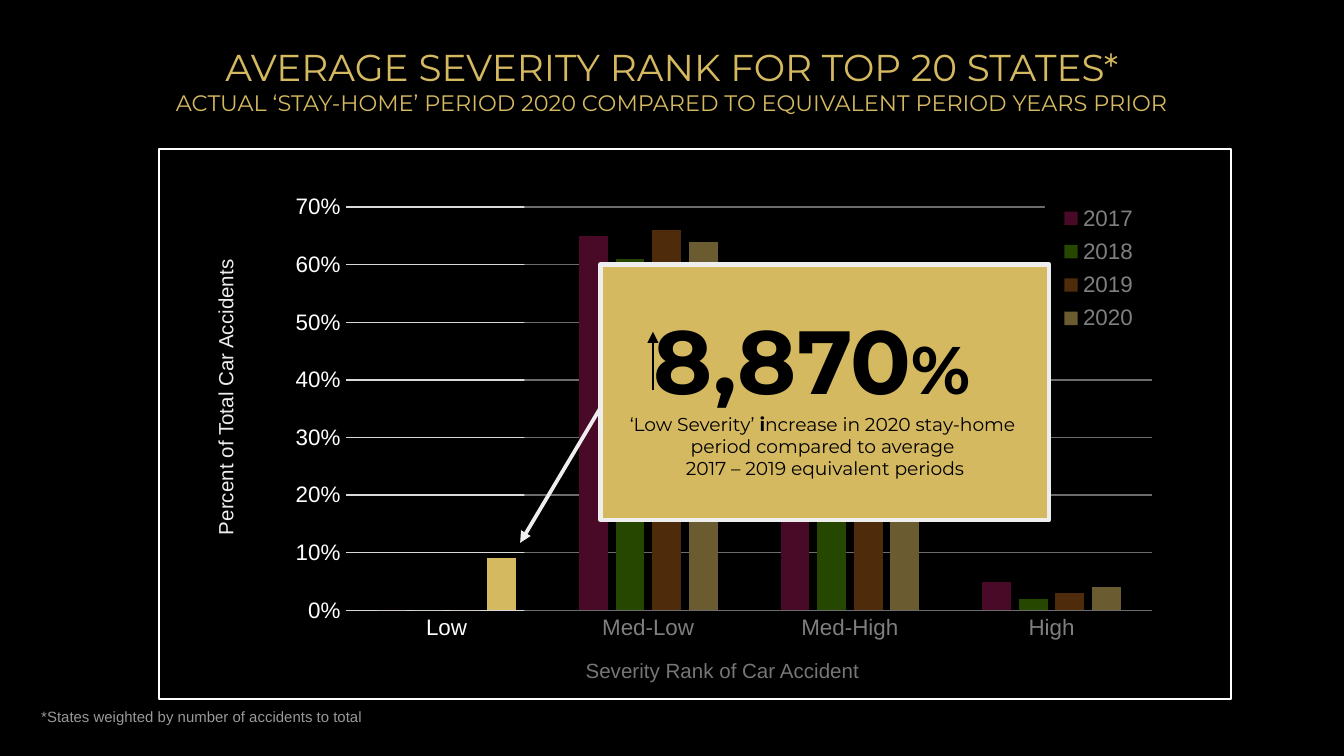
from dataclasses import dataclass

from lxml import etree
from pptx import Presentation
from pptx.chart.data import CategoryChartData
from pptx.dml.color import RGBColor
from pptx.enum.chart import XL_CHART_TYPE, XL_LEGEND_POSITION, XL_TICK_MARK
from pptx.enum.shapes import MSO_CONNECTOR, MSO_SHAPE
from pptx.enum.text import MSO_ANCHOR, PP_ALIGN
from pptx.oxml import parse_xml
from pptx.oxml.ns import nsdecls, qn
from pptx.util import Cm, Pt

CENTER, LEFT = PP_ALIGN.CENTER, PP_ALIGN.LEFT
BOTTOM, MIDDLE = MSO_ANCHOR.BOTTOM, MSO_ANCHOR.MIDDLE
RECTANGLE = MSO_SHAPE.RECTANGLE
STRAIGHT = MSO_CONNECTOR.STRAIGHT
COLUMNS = XL_CHART_TYPE.COLUMN_CLUSTERED
LEGEND_RIGHT = XL_LEGEND_POSITION.RIGHT
NO_TICK = XL_TICK_MARK.NONE


@dataclass(frozen=True)
class Theme:
    black: RGBColor = RGBColor.from_string("000000")
    white: RGBColor = RGBColor.from_string("FFFFFF")
    pale: RGBColor = RGBColor.from_string("EEEEEE")
    grid: RGBColor = RGBColor.from_string("D9D9D9")
    gray: RGBColor = RGBColor.from_string("999999")
    gold: RGBColor = RGBColor.from_string("D5B961")
    wine: RGBColor = RGBColor.from_string("941651")
    green: RGBColor = RGBColor.from_string("4E8F00")
    brown: RGBColor = RGBColor.from_string("9D5816")
    heading: str = "Montserrat"
    body: str = "Arial"
    title: int = 20
    subtitle: int = 12
    chart: int = 12
    axis_title: int = 11
    footnote: int = 8
    figure: int = 48
    percent: int = 36
    caption: int = 10


theme = Theme()


def add_run(paragraph, text, size, color, font_name, bold=False):
    run = paragraph.add_run()
    run.text = text
    run.font.size = Pt(size)
    run.font.color.rgb = color
    run.font.name = font_name
    run.font.bold = bold


def manual_layout(x, y, width, height, inner=False):
    target = '<c:layoutTarget val="inner"/>' if inner else ""
    return parse_xml(
        f'<c:layout {nsdecls("c")}><c:manualLayout>{target}'
        '<c:xMode val="edge"/><c:yMode val="edge"/>'
        f'<c:x val="{x}"/><c:y val="{y}"/><c:w val="{width}"/><c:h val="{height}"/>'
        "</c:manualLayout></c:layout>")


presentation = Presentation()
presentation.slide_width = Cm(25.4)
presentation.slide_height = Cm(14.29)
slide = presentation.slides.add_slide(presentation.slide_layouts[6])
slide.background.fill.solid()
slide.background.fill.fore_color.rgb = theme.black

# Title and subtitle
title_box = slide.shapes.add_textbox(Cm(1.27), Cm(1.02), Cm(22.86), Cm(1.42))
title_frame = title_box.text_frame
title_frame.word_wrap = True
title_frame.vertical_anchor = BOTTOM
title_frame.margin_top = title_frame.margin_bottom = Cm(0.25)
paragraph = title_frame.paragraphs[0]
paragraph.alignment = CENTER
add_run(paragraph, "AVERAGE SEVERITY RANK FOR TOP 20 STATES*",
        theme.title, theme.gold, theme.heading)
paragraph.add_line_break()
add_run(paragraph, "ACTUAL ‘STAY-HOME’ PERIOD 2020 COMPARED TO EQUIVALENT PERIOD YEARS PRIOR",
        theme.subtitle, theme.gold, theme.heading)

# Column chart
series_table = [
    ("2017", (0, 0.65, 0.26, 0.05), theme.wine),
    ("2018", (0, 0.61, 0.33, 0.02), theme.green),
    ("2019", (0, 0.66, 0.27, 0.03), theme.brown),
    ("2020", (0.09, 0.64, 0.2, 0.04), theme.gold),
]
chart_data = CategoryChartData(number_format="0%")
chart_data.categories = ["Low", "Med-Low", "Med-High", "High"]
for name, values, color in series_table:
    chart_data.add_series(name, values)
chart = slide.shapes.add_chart(
    COLUMNS, Cm(5.18), Cm(3.53), Cm(16.94), Cm(9.65), chart_data).chart
chart.has_title = False
chart.font.name = theme.body
chart.font.size = Pt(theme.chart)
chart.font.color.rgb = theme.white

plot = chart.plots[0]
plot.gap_width = 219
plot.overlap = -27
plot.vary_by_categories = False
for series, (name, values, color) in zip(plot.series, series_table):
    series.invert_if_negative = False
    series.format.fill.solid()
    series.format.fill.fore_color.rgb = color

# Chart axes
category_axis, value_axis = chart.category_axis, chart.value_axis
for axis in (category_axis, value_axis):
    axis.major_tick_mark = axis.minor_tick_mark = NO_TICK
value_axis.minimum_scale = 0
value_axis.maximum_scale = 0.7
value_axis.major_unit = 0.1
value_axis.has_major_gridlines = True
value_axis.tick_labels.number_format = "0%"
value_axis.tick_labels.number_format_is_linked = False
value_axis.format.line.fill.background()
for line in (category_axis.format.line, value_axis.major_gridlines.format.line):
    line.color.rgb = theme.grid
    line.width = Pt(0.75)

# Legend over the plot, on black, narrow enough for a single column
chart.has_legend = True
legend = chart.legend
legend.position = LEGEND_RIGHT
legend.include_in_layout = True
legend.font.name = theme.body
legend.font.size = Pt(theme.chart)
legend.font.color.rgb = theme.white
legend_xml = legend._element
for old_layout in legend_xml.findall(qn("c:layout")):
    legend_xml.remove(old_layout)
legend_xml.find(qn("c:legendPos")).addnext(manual_layout(0.86, 0.02, 0.12, 0.28))
legend_xml.find(qn("c:overlay")).addnext(parse_xml(
    f'<c:spPr {nsdecls("c", "a")}><a:solidFill><a:srgbClr val="{theme.black}"/>'
    "</a:solidFill><a:ln><a:noFill/></a:ln></c:spPr>"))

plot_area = chart._chartSpace.chart.plotArea
for old_layout in plot_area.findall(qn("c:layout")):
    plot_area.remove(old_layout)
plot_area.insert(0, manual_layout(0.08, 0.04, 0.9, 0.79, inner=True))

# Axis titles and footnote
labels = [
    ("Percent of Total Car Accidents", 0.28, 7.14, 7.98, 0.74, 270,
     CENTER, theme.axis_title, theme.pale),
    ("Severity Rank of Car Accident", 8.51, 12.32, 10.29, 0.74, 0,
     CENTER, theme.axis_title, theme.pale),
    ("*States weighted by number of accidents to total", 0.53, 13.26, 12.6, 0.61, 0,
     LEFT, theme.footnote, theme.gray),
]
for text, left, top, width, height, rotation, alignment, size, color in labels:
    label = slide.shapes.add_textbox(Cm(left), Cm(top), Cm(width), Cm(height))
    label.rotation = rotation
    label.text_frame.word_wrap = True
    paragraph = label.text_frame.paragraphs[0]
    paragraph.alignment = alignment
    add_run(paragraph, text, size, color, theme.body)

# Chart frame, half-transparent veil and callout box
rectangles = []
for left, top, width, height, fill, line_color, line_width in [
    (3, 2.82, 20.27, 10.39, None, theme.white, 1),
    (9.91, 2.92, 12.9, 10.13, theme.black, None, 0),
    (11.35, 5, 8.48, 4.83, theme.gold, theme.pale, 2.25),
]:
    shape = slide.shapes.add_shape(RECTANGLE, Cm(left), Cm(top), Cm(width), Cm(height))
    shape.shadow.inherit = False
    if fill is None:
        shape.fill.background()
    else:
        shape.fill.solid()
        shape.fill.fore_color.rgb = fill
    if line_color is None:
        shape.line.fill.background()
    else:
        shape.line.color.rgb = line_color
        shape.line.width = Pt(line_width)
    rectangles.append(shape)
frame, veil, callout = rectangles
veil_color = veil._element.spPr.find(qn("a:solidFill"))[0]
etree.SubElement(veil_color, qn("a:alpha"), val="50000")

# Callout text
callout_frame = callout.text_frame
callout_frame.word_wrap = True
callout_frame.vertical_anchor = MIDDLE
callout_lines = [
    [("8,870", theme.figure, True), ("%", theme.percent, True), (" ", theme.figure, True)],
    [("‘Low Severity’ ", theme.caption, False), ("i", theme.caption, True),
     ("ncrease in 2020 stay-home ", theme.caption, False)],
    [("period compared to average ", theme.caption, False)],
    [("2017 – 2019 equivalent periods", theme.caption, False)],
]
for index, runs in enumerate(callout_lines):
    paragraph = callout_frame.add_paragraph() if index else callout_frame.paragraphs[0]
    paragraph.alignment = CENTER
    for text, size, bold in runs:
        add_run(paragraph, text, size, theme.black, theme.heading, bold)

# Arrows: callout to the 2020 column (behind the box), and the increase sign
arrows = []
for x1, y1, x2, y2, color, width in [
    (11.43, 7.57, 9.83, 10.26, theme.pale, 2),
    (12.34, 7.37, 12.34, 6.27, theme.black, 1.5),
]:
    arrow = slide.shapes.add_connector(STRAIGHT, Cm(x1), Cm(y1), Cm(x2), Cm(y2))
    arrow.line.color.rgb = color
    arrow.line.width = Pt(width)
    etree.SubElement(arrow.line._get_or_add_ln(), qn("a:tailEnd"), type="triangle")
    etree.SubElement(arrow._element.spPr, qn("a:effectLst"))
    arrows.append(arrow)
callout._element.addprevious(arrows[0]._element)

presentation.save("out.pptx")
